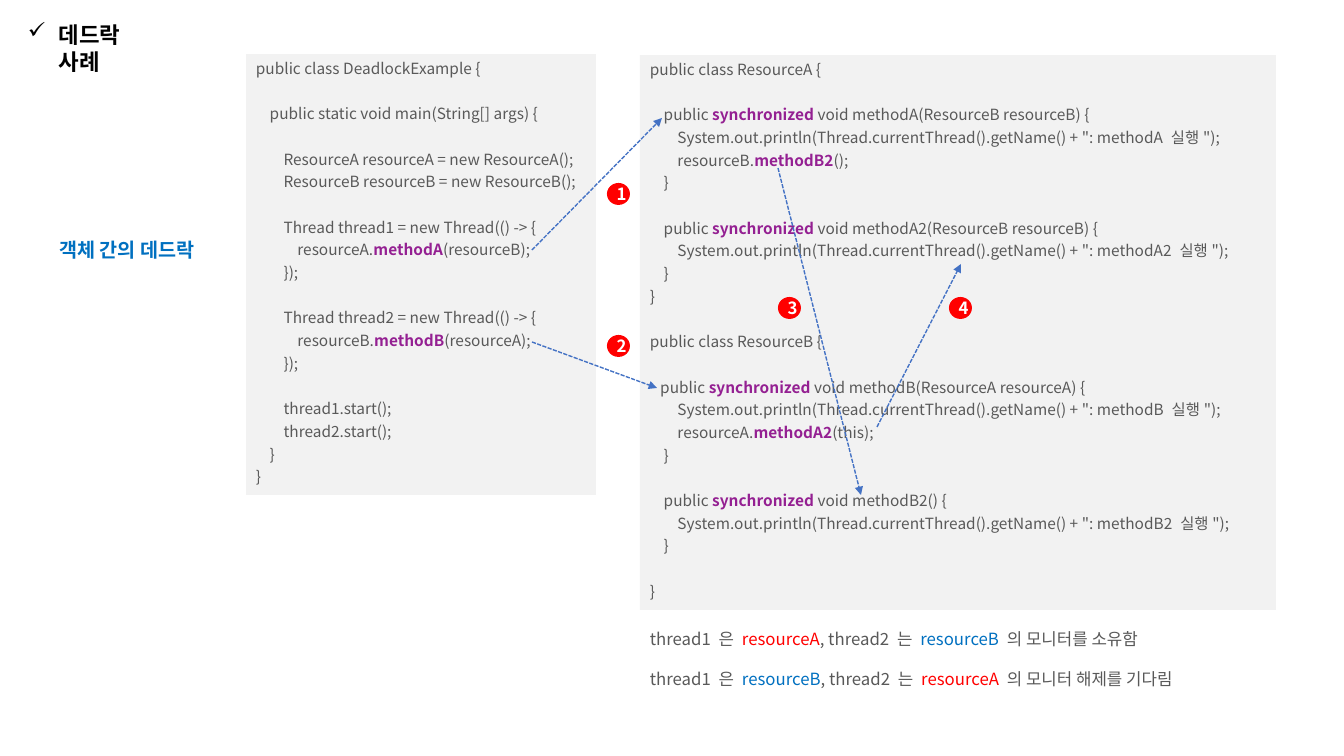
from typing import NamedTuple

from lxml import etree
from pptx import Presentation
from pptx.dml.color import RGBColor
from pptx.enum.dml import MSO_LINE
from pptx.enum.shapes import MSO_CONNECTOR, MSO_SHAPE
from pptx.enum.text import MSO_ANCHOR, MSO_AUTO_SIZE, PP_ALIGN
from pptx.oxml.ns import qn
from pptx.util import Emu, Pt

RECTANGLE, OVAL = MSO_SHAPE.RECTANGLE, MSO_SHAPE.OVAL
STRAIGHT = MSO_CONNECTOR.STRAIGHT
DASHED = MSO_LINE.SQUARE_DOT
CENTER = PP_ALIGN.CENTER
MIDDLE = MSO_ANCHOR.MIDDLE
GROW = MSO_AUTO_SIZE.SHAPE_TO_FIT_TEXT

FONT = "Noto Sans CJK KR"
COLORS = {
    "black": "000000", "white": "FFFFFF", "panel": "F2F2F2", "text": "595959",
    "keyword": "942092", "red": "FF0000", "blue": "0070C0", "arrow": "4472C4",
}
CODE_SIZE = 11
CODE_GAP = 3
BLANK_LINE = 13.2 + CODE_GAP
BADGE_WIDTH, BADGE_HEIGHT = 23, 22


class Box(NamedTuple):
    left: int
    top: int
    width: int
    height: int


class Span(NamedTuple):
    text: str
    color: str = "text"
    bold: bool = False


class CodePanel(NamedTuple):
    box: Box
    code: str


class Note(NamedTuple):
    box: Box
    spans: list[Span]


class Step(NamedTuple):
    """A numbered badge and the call arrow it belongs to."""
    number: str
    badge_left: int
    badge_top: int
    start: tuple[int, int]
    end: tuple[int, int]


# Text between bars is emphasised.
MAIN_CODE = """public class DeadlockExample {

    public static void main(String[] args) {

        ResourceA resourceA = new ResourceA();
        ResourceB resourceB = new ResourceB();

        Thread thread1 = new Thread(() -> {
            resourceA.|methodA|(resourceB);
        });

        Thread thread2 = new Thread(() -> {
            resourceB.|methodB|(resourceA);
        });

        thread1.start();
        thread2.start();
    }
}"""
RESOURCE_CODE = """public class ResourceA {

    public |synchronized| void methodA(ResourceB resourceB) {
        System.out.println(Thread.currentThread().getName() + ": methodA 실행");
        resourceB.|methodB2|();
    }

    public |synchronized| void methodA2(ResourceB resourceB) {
        System.out.println(Thread.currentThread().getName() + ": methodA2 실행");
    }
}

public class ResourceB {

   public |synchronized| void methodB(ResourceA resourceA) {
        System.out.println(Thread.currentThread().getName() + ": methodB 실행");
        resourceA.|methodA2|(this);
    }

    public |synchronized| void methodB2() {
        System.out.println(Thread.currentThread().getName() + ": methodB2 실행");
    }

}"""
CODE_PANELS = [
    CodePanel(Box(640, 55, 636, 555), RESOURCE_CODE),
    CodePanel(Box(246, 54, 350, 441), MAIN_CODE),
]
NOTES = [
    Note(Box(640, 624, 552, 30), [
        Span("thread1 은 "), Span("resourceA", "red"), Span(", thread2 는 "),
        Span("resourceB ", "blue"), Span("의 모니터를 소유함")]),
    Note(Box(640, 664, 552, 30), [
        Span("thread1 은 "), Span("resourceB", "blue"), Span(", thread2 는 "),
        Span("resourceA ", "red"), Span("의 모니터 해제를 기다림")]),
]
STEPS = [
    Step("1", 607, 183, (532, 250), (662, 118)),
    Step("2", 607, 335, (532, 342), (657, 388)),
    Step("3", 778, 297, (778, 168), (861, 495)),
    Step("4", 949, 297, (877, 427), (961, 264)),
]


def px(length: int) -> Emu:
    return Emu(round(length * 914400 / 100.8))


def rgb(name: str) -> RGBColor:
    return RGBColor.from_string(COLORS[name])


def add_spans(paragraph, spans: list[Span], size: int) -> None:
    for span in spans:
        run = paragraph.add_run()
        run.text = span.text
        run.font.size = Pt(size)
        run.font.bold = span.bold
        run.font.color.rgb = rgb(span.color)
        run.font.name = FONT
        east_asian = etree.SubElement(run.font._element, qn("a:ea"))
        east_asian.set("typeface", FONT)


def add_text(slide, box: Box, spans: list[Span], size: int, wrap: bool = True):
    """Add a one-paragraph text box and return its paragraph."""
    frame = slide.shapes.add_textbox(*map(px, box)).text_frame
    frame.word_wrap = wrap
    frame.auto_size = GROW
    add_spans(frame.paragraphs[0], spans, size)
    return frame.paragraphs[0]


def add_filled(slide, preset: MSO_SHAPE, box: Box, color: str):
    shape = slide.shapes.add_shape(preset, *map(px, box))
    shape.shadow.inherit = False
    shape.fill.solid()
    shape.fill.fore_color.rgb = rgb(color)
    shape.line.fill.background()
    shape.text_frame.word_wrap = True
    return shape


def add_code_panel(slide, panel: CodePanel) -> None:
    """Blank code lines become extra space before the next line."""
    frame = add_filled(slide, RECTANGLE, panel.box, "panel").text_frame
    frame.auto_size = GROW
    frame.vertical_anchor = MSO_ANCHOR.TOP
    gap = 0
    for index, line in enumerate(panel.code.split("\n")):
        if not line:
            gap += BLANK_LINE
            continue
        paragraph = frame.add_paragraph() if index else frame.paragraphs[0]
        paragraph.alignment = PP_ALIGN.LEFT
        paragraph.space_before = Pt(gap)
        spans = [Span(text, "keyword", True) if part % 2 else Span(text)
                 for part, text in enumerate(line.split("|"))]
        add_spans(paragraph, spans, CODE_SIZE)
        gap = CODE_GAP


def add_badge(slide, step: Step) -> None:
    box = Box(step.badge_left, step.badge_top, BADGE_WIDTH, BADGE_HEIGHT)
    frame = add_filled(slide, OVAL, box, "red").text_frame
    frame.vertical_anchor = MIDDLE
    frame.paragraphs[0].alignment = CENTER
    add_spans(frame.paragraphs[0], [Span(step.number, "white", True)], 12)


def add_arrow(slide, step: Step) -> None:
    arrow = slide.shapes.add_connector(STRAIGHT, *map(px, step.start + step.end))
    arrow.line.color.rgb = rgb("arrow")
    arrow.line.width = Pt(1)
    arrow.line.dash_style = DASHED
    properties = arrow._element.spPr
    etree.SubElement(properties.find(qn("a:ln")), qn("a:tailEnd")).set("type", "triangle")
    etree.SubElement(properties, qn("a:effectLst"))


def add_headings(slide) -> None:
    title = add_text(slide, Box(18, 16, 158, 37),
                     [Span("데드락 사례", "black", True)], 16, wrap=False)
    indents = title._p.get_or_add_pPr()
    indents.set("marL", str(px(31)))
    indents.set("indent", str(-px(31)))
    etree.SubElement(indents, qn("a:buChar")).set("char", "✓")

    topic = add_text(slide, Box(36, 221, 182, 42),
                     [Span("객체 간의 데드락", "blue", True)], 14)
    topic.alignment = CENTER
    topic.line_spacing = 1.5


def main() -> None:
    deck = Presentation()
    deck.slide_width, deck.slide_height = px(1344), px(756)
    slide = deck.slides.add_slide(deck.slide_layouts[6])
    add_headings(slide)
    for panel in CODE_PANELS:
        add_code_panel(slide, panel)
    for note in NOTES:
        add_text(slide, note.box, note.spans, 12)
    for step in STEPS:
        add_badge(slide, step)
    for step in STEPS:
        add_arrow(slide, step)
    deck.save("out.pptx")


if __name__ == "__main__":
    main()
